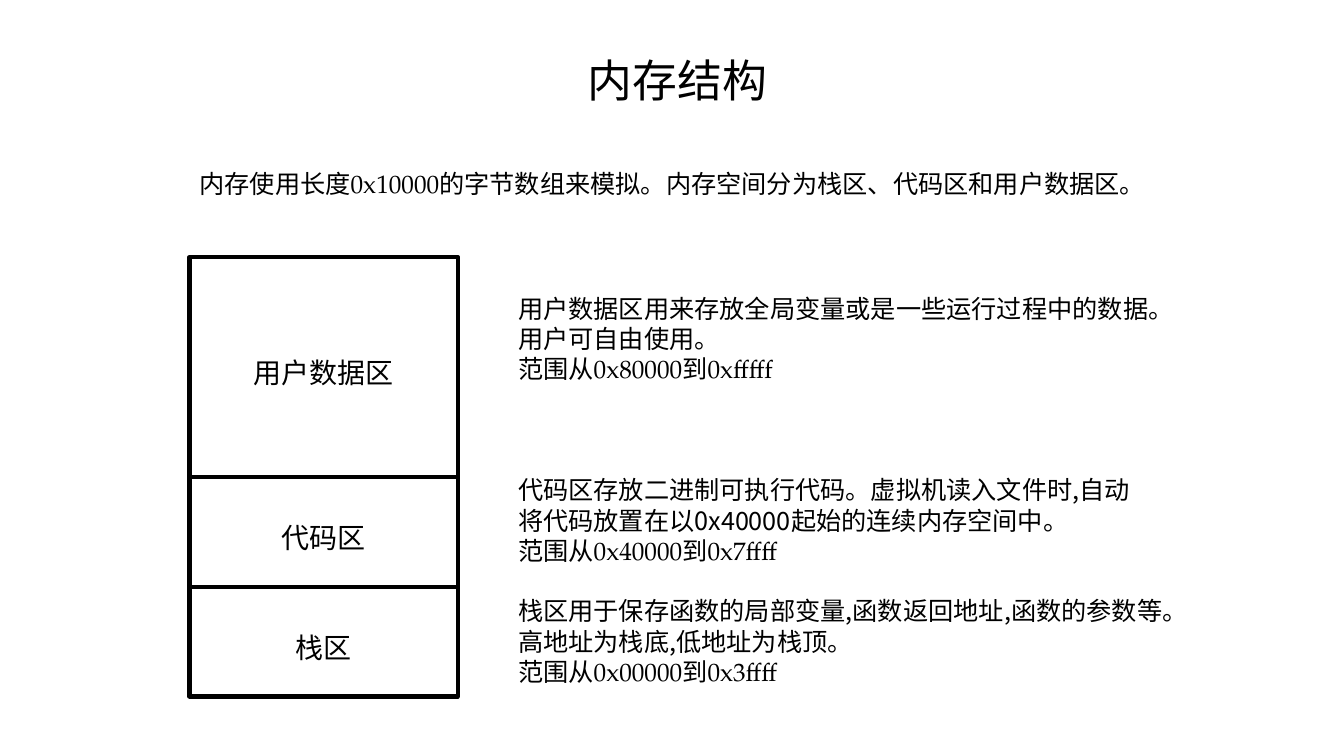
import pptx
import pptx.dml.color
import pptx.enum.shapes
import pptx.enum.text
import pptx.oxml.ns
import pptx.oxml.xmlchemy
import pptx.util

COLORS = {"ink": "000000", "page": "FFFFFF"}
HAN, LATIN = "Noto Sans CJK SC", "TeX Gyre Pagella"
INK = pptx.dml.color.RGBColor.from_string(COLORS["ink"])
ALIGN = pptx.enum.text.PP_ALIGN
inch = pptx.util.Inches

deck = pptx.Presentation()
deck.slide_width, deck.slide_height = inch(13.33), inch(7.5)
page = deck.slides.add_slide(deck.slide_layouts[6])
page.background.fill.solid()
page.background.fill.fore_color.rgb = pptx.dml.color.RGBColor.from_string(COLORS["page"])

# Memory map grid: one column, four rows; user data takes two of them
MAP_LEFT, MAP_TOP, COLUMN, ROW = 1.88, 2.55, 2.66, 1.09
LINE = 21.6  # line pitch of 18 pt text, in points


def add_text(shapes, left, top, width, height, size, align, paragraphs):
    """Add a text box; paragraphs are (blank lines before, runs) pairs."""
    box = shapes.add_textbox(inch(left), inch(top), inch(width), inch(height))
    frame = box.text_frame
    frame.word_wrap = True
    for index, (gap, runs) in enumerate(paragraphs):
        para = frame.paragraphs[0] if index == 0 else frame.add_paragraph()
        para.alignment = align
        para.space_before = pptx.util.Pt(gap * LINE)
        for text, font in runs:
            span = para.add_run()
            span.text = text
            span.font.size = pptx.util.Pt(size)
            span.font.name = font
            span.font.color.rgb = INK


def draw_outline(shape):
    """Give a shape or connector the heavy map line and no shadow."""
    shape.line.color.rgb = INK
    shape.line.width = pptx.util.Pt(3)
    properties = shape._element.spPr
    if properties.find(pptx.oxml.ns.qn("a:effectLst")) is None:
        properties.append(pptx.oxml.xmlchemy.OxmlElement("a:effectLst"))


add_text(page.shapes, 5.67, 0.47, 2.1, 0.64, 32, ALIGN.CENTER,
         [(0, [("内存结构", HAN)])])

memory = page.shapes.add_group_shape().shapes
frame_box = memory.add_shape(pptx.enum.shapes.MSO_SHAPE.RECTANGLE, inch(MAP_LEFT),
                             inch(MAP_TOP), inch(COLUMN), inch(4 * ROW))
frame_box.fill.background()
draw_outline(frame_box)

# Region name, first grid row, rows spanned
for name, first, rows in [("用户数据区", 0, 2), ("代码区", 2, 1), ("栈区", 3, 1)]:
    top = MAP_TOP + first * ROW
    if first:
        divider = memory.add_connector(
            pptx.enum.shapes.MSO_CONNECTOR.STRAIGHT, inch(MAP_LEFT), inch(top),
            inch(MAP_LEFT + COLUMN), inch(top))
        draw_outline(divider)
    label_top = top + rows * ROW / 2 - 0.16
    add_text(memory, MAP_LEFT, label_top, COLUMN, 0.44, 20, ALIGN.CENTER,
             [(0, [(name, HAN)])])

# Blank lines before, explanation lines, first and last address
regions = [
    (0, ["用户数据区用来存放全局变量或是一些运行过程中的数据。", "用户可自由使用。"],
     "0x80000", "0xfffff"),
    (3, ["代码区存放二进制可执行代码。虚拟机读入文件时,自动".replace(",", ","),
         "将代码放置在以0x40000起始的连续内存空间中。"], "0x40000", "0x7ffff"),
    (1, ["栈区用于保存函数的局部变量,函数返回地址,函数的参数等。",
         "高地址为栈底,低地址为栈顶。"], "0x00000", "0x3ffff"),
]
explanations = []
for gap, lines, start, end in regions:
    for index, line in enumerate(lines):
        explanations.append((0 if index else gap, [(line, HAN)]))
    explanations.append((0, [("范围从", HAN), (start, LATIN), ("到", HAN), (end, LATIN)]))
add_text(page.shapes, 5.04, 2.86, 7.27, 4.04, 18, ALIGN.LEFT, explanations)

add_text(page.shapes, MAP_LEFT, 1.62, 9.86, 0.4, 18, ALIGN.LEFT, [(0, [
    ("内存使用长度", HAN), ("0x10000", LATIN), ("的字节", HAN), ("数组", LATIN),
    ("来模拟。内存空间分为栈区、代码区和用户数据区。", HAN)])])

deck.save("out.pptx")
